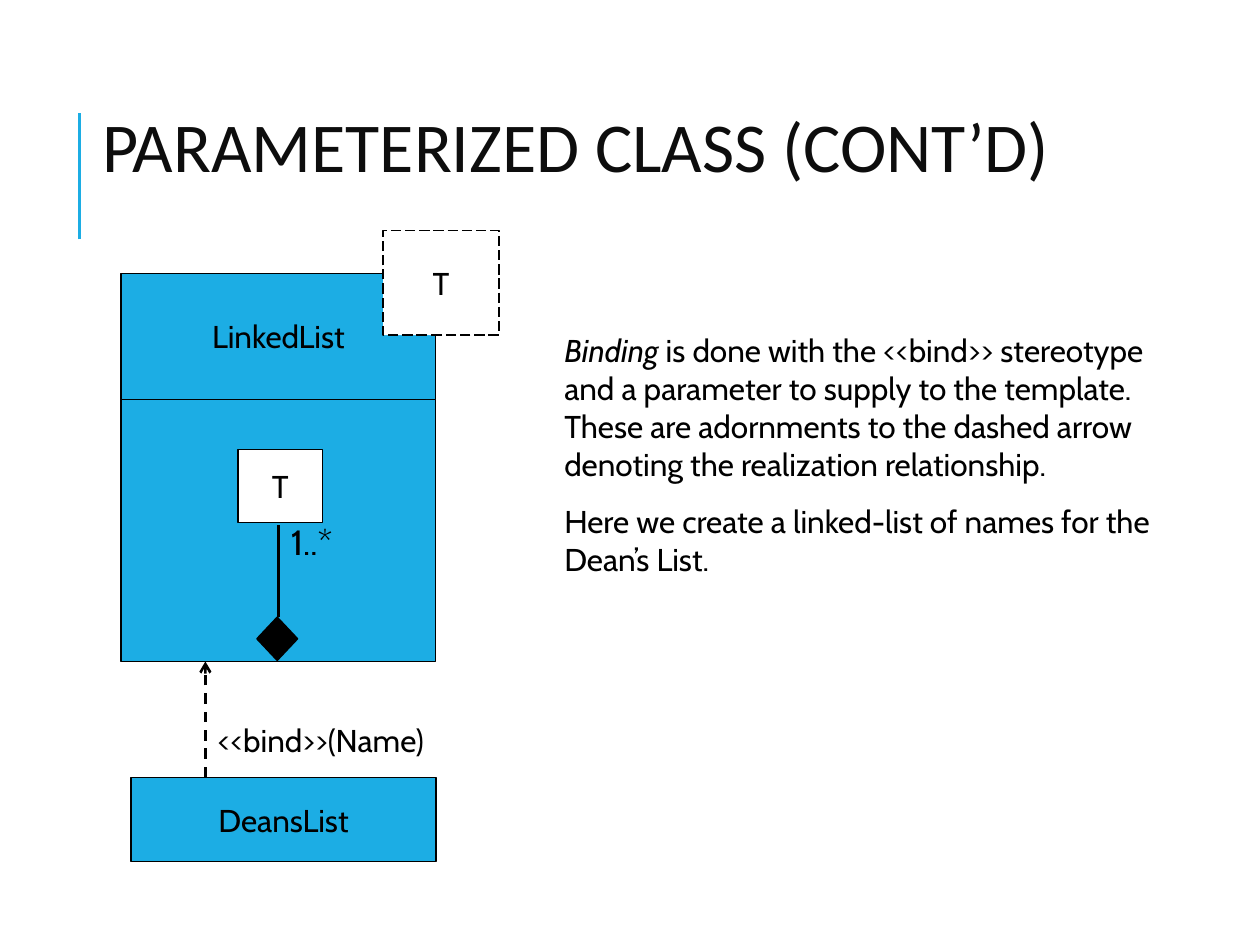
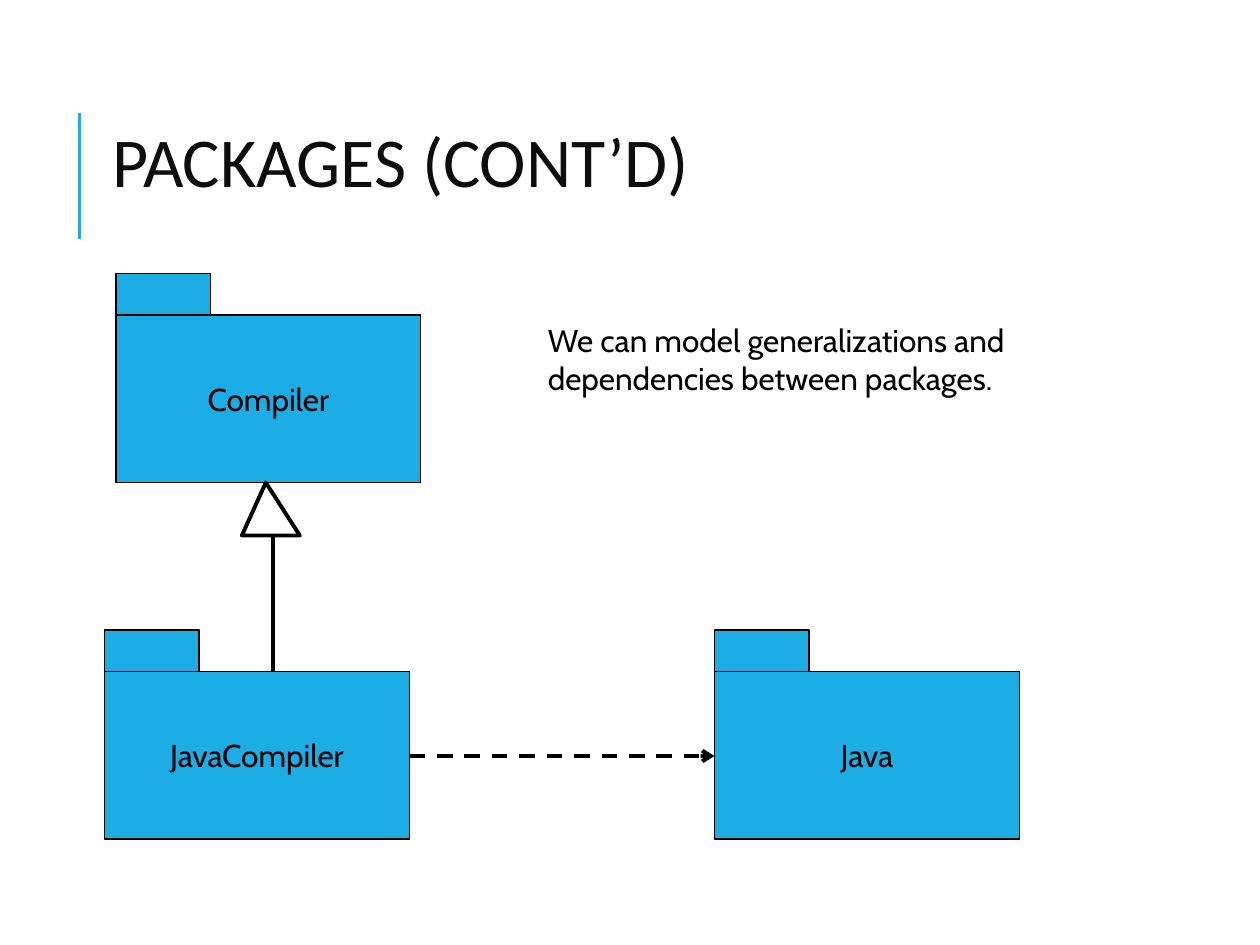
from pptx import Presentation
from pptx.dml.color import RGBColor
from pptx.enum.dml import MSO_LINE
from pptx.enum.shapes import MSO_CONNECTOR, MSO_SHAPE
from pptx.enum.text import MSO_ANCHOR, MSO_AUTO_SIZE, PP_ALIGN
from pptx.oxml.ns import qn
from pptx.util import Inches, Pt
from lxml import etree

RECT, DIAMOND = MSO_SHAPE.RECTANGLE, MSO_SHAPE.DIAMOND
STRAIGHT = MSO_CONNECTOR.STRAIGHT
DASH, LONG_DASH = MSO_LINE.DASH, MSO_LINE.LONG_DASH
LEFT, CENTER = PP_ALIGN.LEFT, PP_ALIGN.CENTER
TOP, MIDDLE = MSO_ANCHOR.TOP, MSO_ANCHOR.MIDDLE
NO_FIT = MSO_AUTO_SIZE.NONE

# Shared look
BLUE, BLACK, WHITE, TITLE_INK = "1CADE4", "000000", "FFFFFF", "0D0D0D"
BODY = {"name": "Cabin", "size": Pt(18)}
MULTIPLICITY = {"name": "Cabin", "size": Pt(20)}
TITLE = {"name": "Calibri", "size": Pt(40)}
TITLE_SIZE = (8.58, 0.58)
RULE = ((0.63, 1.9), (0.63, 0.9))
PACKAGE_W, PACKAGE_H, TAB_W, TAB_H = 2.42, 1.33, 0.75, 0.33

# Slide 1: a paragraph is a list of (text, italic) runs
CLASS_TITLE = ("PARAMETERIZED CLASS (CONT’D)", (0.71, 0.92))
CLASS_BOXES = [  # text, position and size, fill, dash
    ("LinkedList", (0.96, 2.17, 2.5, 1), BLUE, None),
    ("T", (3.04, 1.83, 0.92, 0.83), WHITE, LONG_DASH),
    ("", (0.96, 3.17, 2.5, 2.08), BLUE, None),
    ("T", (1.89, 3.57, 0.67, 0.58), WHITE, None),
    ("DeansList", (1.04, 6.17, 2.42, 0.67), BLUE, None),
]
CLASS_TEXTS = [  # position and size, font, paragraphs
    ((2.21, 4.08, 0.67, 0.44), MULTIPLICITY, [[("1..*", False)]]),
    ((4.38, 2.58, 4.92, 2.36), BODY, [
        [("Binding", True),
         (" is done with the <<bind>> stereotype and a parameter to supply "
          "to the template. These are adornments to the dashed arrow "
          "denoting the realization relationship.", False)],
        [("Here we create a linked-list of names for the Dean’s List.", False)],
    ]),
    ((1.63, 5.67, 2, 0.7), BODY, [[("<<bind>>(Name)", False)]]),
]
COMPOSITION = ((2.21, 4.9), (2.21, 4.17))
COMPOSITION_DIAMOND = (2.04, 4.9, 0.32, 0.34)
BIND_ARROW = ((1.63, 6.17), (1.63, 5.25))

# Slide 2
PACKAGE_TITLE = ("PACKAGES (CONT’D)", (0.79, 1.04))
PACKAGES = [  # name, left and top of the tab
    ("JavaCompiler", 0.83, 5),
    ("Compiler", 0.92, 2.17),
    ("Java", 5.67, 5),
]
PACKAGE_TEXT = ((4.25, 2.5, 5.33, 0.7), BODY, [
    [("We can model generalizations and dependencies between packages.", False)]])
GENERALIZATION = ((2.17, 4.25), (2.17, 5.33))
TRIANGLE = [(2.11, 3.83), (1.92, 4.25), (2.38, 4.25)]
DEPENDENCY = ((3.25, 6), (5.67, 6))


def inches(values):
    return [Inches(v) for v in values]


def rgb(color):
    return RGBColor.from_string(color)


def set_attrs(obj, attrs):
    for name, value in attrs.items():
        setattr(obj, name, value)


def style_line(line, width, color=BLACK, dash=None):
    line.color.rgb = rgb(color)
    line.width = Pt(width)
    if dash:
        line.dash_style = dash


def style_shape(shape, fill, width, dash=None):
    shape.shadow.inherit = False
    shape.fill.solid()
    shape.fill.fore_color.rgb = rgb(fill)
    style_line(shape.line, width, dash=dash)


def add_runs(p, runs, font, color=BLACK):
    for text, italic in runs:
        r = p.add_run()
        r.text = text
        set_attrs(r.font, {**font, "italic": italic})
        r.font.color.rgb = rgb(color)


def add_box(shapes, text, box, fill=BLUE, dash=None):
    sp = shapes.add_shape(RECT, *inches(box))
    style_shape(sp, fill, 0.75, dash)
    if text:
        tf = sp.text_frame
        set_attrs(tf, {"word_wrap": False, "vertical_anchor": MIDDLE})
        p = tf.paragraphs[0]
        p.alignment = CENTER
        add_runs(p, [(text, False)], BODY)


def add_text(s, box, font, paragraphs):
    tf = s.shapes.add_textbox(*inches(box)).text_frame
    set_attrs(tf, {"word_wrap": True, "vertical_anchor": TOP})
    for i, runs in enumerate(paragraphs):
        p = tf.add_paragraph() if i else tf.paragraphs[0]
        if i:
            p.space_before = Pt(11.2)
        add_runs(p, runs, font)


def add_line(shapes, ends, width, color=BLACK, dash=None, arrow=False):
    start, end = ends
    cxn = shapes.add_connector(STRAIGHT, *inches(start + end))
    style_line(cxn.line, width, color, dash)
    if arrow:
        tail = etree.SubElement(cxn.line._get_or_add_ln(), qn("a:tailEnd"))
        tail.set("type", "arrow")
    etree.SubElement(cxn._element.spPr, qn("a:effectLst"))


def add_package(s, name, left, top):
    shapes = s.shapes.add_group_shape().shapes
    add_box(shapes, name, (left, top + TAB_H, PACKAGE_W, PACKAGE_H))
    add_box(shapes, "", (left, top, TAB_W, TAB_H))


def new_slide(prs, title, corner):
    s = prs.slides.add_slide(prs.slide_layouts[5])
    add_line(s.shapes, RULE, 1.5, BLUE)
    sp = s.shapes.title
    left, top, width, height = inches(corner + TITLE_SIZE)
    set_attrs(sp, {"left": left, "top": top, "width": width, "height": height})
    tf = sp.text_frame
    set_attrs(tf, {"word_wrap": True, "auto_size": NO_FIT, "vertical_anchor": MIDDLE})
    p = tf.paragraphs[0]
    set_attrs(p, {"alignment": LEFT, "line_spacing": 0.8})
    add_runs(p, [(title, False)], TITLE, TITLE_INK)
    return s


def build_class_slide(prs):
    s = new_slide(prs, *CLASS_TITLE)
    for text, box, fill, dash in CLASS_BOXES:
        # The template parameter overlaps the class name box
        add_box(s.shapes, text, box, fill, dash)
    add_line(s.shapes, COMPOSITION, 1.5)
    diamond = s.shapes.add_shape(DIAMOND, *inches(COMPOSITION_DIAMOND))
    style_shape(diamond, BLACK, 1)
    add_line(s.shapes, BIND_ARROW, 1.5, dash=DASH, arrow=True)
    for item in CLASS_TEXTS:
        add_text(s, *item)


def build_package_slide(prs):
    s = new_slide(prs, *PACKAGE_TITLE)
    for item in PACKAGES:
        add_package(s, *item)
    add_text(s, *PACKAGE_TEXT)

    # Generalization: a line with a hollow triangle
    shapes = s.shapes.add_group_shape().shapes
    add_line(shapes, GENERALIZATION, 2.25)
    apex, *base = [tuple(inches(point)) for point in TRIANGLE]
    outline = shapes.build_freeform(*apex)
    outline.add_line_segments(base, close=True)
    style_shape(outline.convert_to_shape(), WHITE, 2.25)

    add_line(s.shapes, DEPENDENCY, 2.25, dash=DASH, arrow=True)


def main():
    prs = Presentation()
    prs.slide_width, prs.slide_height = inches((10, 7.5))
    build_class_slide(prs)
    build_package_slide(prs)
    prs.save("out.pptx")


if __name__ == "__main__":
    main()
